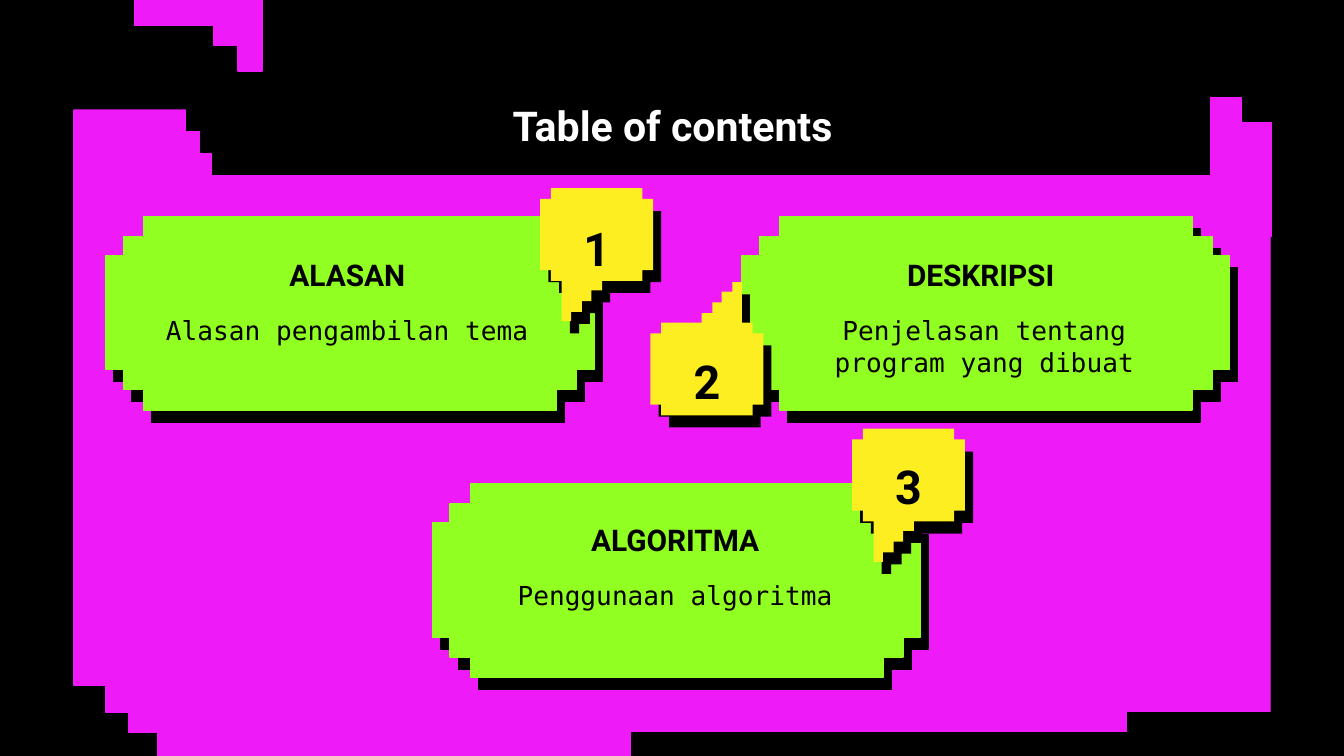
from pptx import Presentation
from pptx.dml.color import RGBColor
from pptx.enum.shapes import MSO_SHAPE
from pptx.enum.text import MSO_ANCHOR, PP_ALIGN
from pptx.util import Inches, Pt

RECTANGLE = MSO_SHAPE.RECTANGLE
SNIPPED = MSO_SHAPE.SNIP_2_DIAG_RECTANGLE
TOP, BOTTOM = MSO_ANCHOR.TOP, MSO_ANCHOR.BOTTOM
CENTER = PP_ALIGN.CENTER

BLACK = RGBColor(0x00, 0x00, 0x00)
WHITE = RGBColor(0xFF, 0xFF, 0xFF)
MAGENTA = RGBColor(0xEE, 0x1A, 0xF7)
GREEN = RGBColor(0x90, 0xFF, 0x21)
YELLOW = RGBColor(0xFC, 0xEE, 0x21)

HEADING_FONT = "Roboto"
BODY_FONT = "DejaVu Sans Mono"

TITLE = "Table of contents"

# heading, description, card corner, text left, top and width
CARDS = [
    ("DESKRIPSI ", "Penjelasan tentang program yang dibuat", (5.52, 1.61), (5.75, 1.7, 3.15)),
    ("ALASAN", "Alasan pengambilan tema", (0.79, 1.61), (1, 1.7, 3.17)),
    ("ALGORITMA", "Penggunaan algoritma", (3.22, 3.6), (3.44, 3.67, 3.17)),
]

# number, bubble corner, number top, turned upside down
BUBBLES = [
    ("1", (4.02, 1.4), 1.5, False),
    ("2", (4.84, 2.1), 2.49, True),
    ("3", (6.34, 3.19), 3.27, False),
]

# left, top, width, height
LEFT_STEPS = [(x, y, 0.24, 0.85) for x, y in
              [(0.55, 4.25), (0.79, 4.45), (0.96, 4.6), (1.17, 4.78)]]
RIGHT_STEPS = [(9, 0.73, 0.24, 0.85), (9.22, 0.91, 0.24, 0.85)]
BLACK_BLOCKS = [
    (4.7, 5.45, 3.7, 0.18), (8.39, 5.3, 1.06, 0.33),
    (1.58, 0.34, 7.42, 0.96), (1.49, 0.34, 0.1, 0.79), (1.39, 0.34, 0.1, 0.63),
]
TOP_STEPS = [(1.59, 0, 0.18, 0.34), (1, 0, 0.59, 0.19), (1.77, 0, 0.18, 0.53)]

CARD_WIDTH = 3.63
CARD_ROWS = [  # inset, top, height
    (0.28, 0, 0.15), (0.13, 0.15, 0.15), (0, 0.29, 0.85), (0.13, 1.14, 0.15), (0.28, 1.29, 0.15),
]
BUBBLE_WIDTH, BUBBLE_HEIGHT = 0.84, 0.99
BUBBLE_OUTLINE = [
    (0.76, 0), (0.76, 0.08), (0.84, 0.08), (0.84, 0.61), (0.76, 0.61), (0.76, 0.69),
    (0.46, 0.69), (0.46, 0.76), (0.38, 0.76), (0.38, 0.84), (0.31, 0.84), (0.31, 0.92),
    (0.23, 0.92), (0.23, 0.99), (0.16, 0.99), (0.16, 0.69), (0.08, 0.69), (0.08, 0.61),
    (0, 0.61), (0, 0.08), (0.08, 0.08), (0.08, 0),
]
SHADOW_X, SHADOW_Y = 0.06, 0.09


def add_block(page, place, color, kind=RECTANGLE):
    block = page.shapes.add_shape(kind, *map(Inches, place))
    block.shadow.inherit = False
    block.fill.solid()
    block.fill.fore_color.rgb = color
    block.line.color.rgb = color
    block.line.width = Pt(0.75)
    return block


def add_text(page, place, text, size, color=BLACK, font=HEADING_FONT, bold=True, anchor=BOTTOM):
    frame = page.shapes.add_textbox(*map(Inches, place)).text_frame
    frame.word_wrap = True
    frame.vertical_anchor = anchor
    frame.margin_left = frame.margin_right = Inches(0.1)
    frame.margin_top = frame.margin_bottom = Inches(0.1)
    para = frame.paragraphs[0]
    para.text = text
    para.alignment = CENTER
    para.font.name = font
    para.font.size = Pt(size)
    para.font.bold = bold
    para.font.color.rgb = color


def add_card(page, left, top, color):
    for inset, offset, height in CARD_ROWS:
        add_block(page, (left + inset, top + offset, CARD_WIDTH - 2 * inset, height), color)


def add_bubble(page, left, top, color, turned):
    outline = BUBBLE_OUTLINE
    if turned:
        outline = [(BUBBLE_WIDTH - x, BUBBLE_HEIGHT - y) for x, y in outline]
    points = [(Inches(left + x), Inches(top + y)) for x, y in outline]
    builder = page.shapes.build_freeform(*points[0])
    builder.add_line_segments(points[1:], close=True)
    bubble = builder.convert_to_shape()
    bubble.shadow.inherit = False
    bubble.fill.solid()
    bubble.fill.fore_color.rgb = color
    bubble.line.fill.background()


def main():
    deck = Presentation()
    deck.slide_width = Inches(10)
    deck.slide_height = Inches(10 * 9 / 16)
    page = deck.slides.add_slide(deck.slide_layouts[6])
    page.background.fill.solid()
    page.background.fill.fore_color.rgb = BLACK

    panel = add_block(page, (0.55, 0.82, 8.9, 4.8), MAGENTA, SNIPPED)
    panel.adjustments[0], panel.adjustments[1] = 0, 0.17
    for places, color in [(LEFT_STEPS + RIGHT_STEPS, MAGENTA), (BLACK_BLOCKS, BLACK),
                          (TOP_STEPS, MAGENTA)]:
        for place in places:
            add_block(page, place, color)

    add_text(page, (0.79, 0.59, 8.43, 0.62), TITLE, 22, WHITE)

    for heading, description, (left, top), (text_left, text_top, width) in CARDS:
        add_card(page, left + SHADOW_X, top + SHADOW_Y, BLACK)
        add_card(page, left, top, GREEN)
        add_text(page, (text_left, text_top, width, 0.58), heading, 16)
        add_text(page, (text_left, text_top + 0.54, width, 0.62), description, 14,
                 font=BODY_FONT, bold=False, anchor=TOP)

    for number, (left, top), text_top, turned in BUBBLES:
        add_bubble(page, left + SHADOW_X, top + SHADOW_Y, BLACK, turned)
        add_bubble(page, left, top, YELLOW, turned)
        add_text(page, (left, text_top, BUBBLE_WIDTH, 0.65), number, 25)

    deck.save("out.pptx")


if __name__ == "__main__":
    main()
